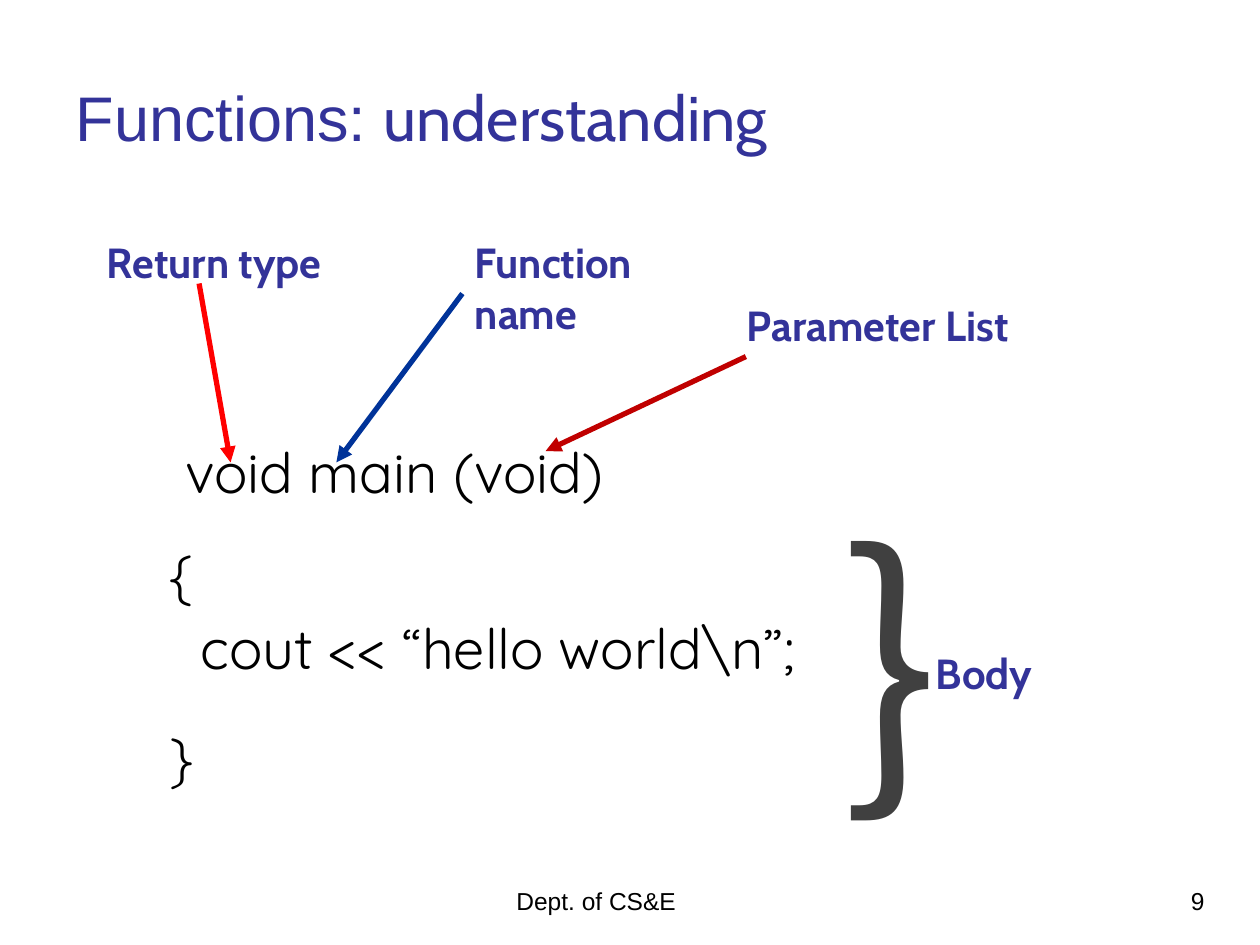
from pptx import Presentation
from pptx.dml.color import RGBColor
from pptx.enum.shapes import MSO_CONNECTOR
from pptx.enum.text import MSO_ANCHOR, PP_ALIGN
from pptx.oxml.ns import qn
from pptx.util import Inches, Pt
from lxml import etree

INDIGO = RGBColor(0x33, 0x33, 0x99)
BLACK = RGBColor(0, 0, 0)
GRAY = RGBColor(0x40, 0x40, 0x40)
RED = RGBColor(0xFF, 0, 0)
BLUE = RGBColor(0, 0x33, 0x99)
DARK_RED = RGBColor(0xC0, 0, 0)


def add_run(p, text, name, size, color, bold=False):
    r = p.add_run()
    r.text = text
    for key, value in {"name": name, "size": Pt(size), "bold": bold}.items():
        setattr(r.font, key, value)
    r.font.color.rgb = color


def add_text(box, lines, name, size, color, bold=False, align=PP_ALIGN.LEFT):
    tf = s.shapes.add_textbox(*[Inches(v) for v in box]).text_frame
    tf.word_wrap = True
    for i, (text, before) in enumerate(lines):
        p = tf.paragraphs[0] if i == 0 else tf.add_paragraph()
        p.alignment = align
        p.space_before = Pt(before)
        add_run(p, text, name, size, color, bold)


prs = Presentation()
prs.slide_width, prs.slide_height = Inches(10), Inches(7.5)
s = prs.slides.add_slide(prs.slide_layouts[5])

title = s.shapes.title
for key, value in {"left": 0.5, "top": 0.3, "width": 9, "height": 1.25}.items():
    setattr(title, key, Inches(value))
tf = title.text_frame
tf.vertical_anchor = MSO_ANCHOR.MIDDLE
p = tf.paragraphs[0]
p.alignment = PP_ALIGN.LEFT
add_run(p, "Functions: ", "Arial", 36, INDIGO)
add_run(p, "understanding", "Cabin", 36, INDIGO)

code = [
    (" void main (void)", 0),
    ("{", 20),
    ("  cout << “hello world\\n”;", 3.7),
    ("}", 24),
]
add_text((1.25, 3.42, 5.67, 2.94), code, "Quicksand", 32, BLACK)

labels = [
    ("Return type", (0.75, 1.83, 2.58, 0.5)),
    ("Function name", (3.67, 1.83, 2.25, 0.9)),
    ("Parameter List", (5.83, 2.33, 2.75, 0.5)),
    ("Body", (7.33, 5.09, 1.67, 0.5)),
]
for text, box in labels:
    add_text(box, [(text, 0)], "Cabin", 24, INDIGO, bold=True)

arrows = [
    ((1.58, 2.25, 1.83, 3.67), RED),
    ((3.67, 2.33, 2.67, 3.67), BLUE),
    ((5.92, 2.83, 4.33, 3.58), DARK_RED),
]
for ends, color in arrows:
    arrow = s.shapes.add_connector(MSO_CONNECTOR.STRAIGHT, *[Inches(v) for v in ends])
    arrow.line.color.rgb = color
    arrow.line.width = Pt(3)
    etree.SubElement(arrow.line._get_or_add_ln(), qn("a:tailEnd"), type="triangle")
    etree.SubElement(arrow._element.spPr, qn("a:effectLst"))

add_text((6.58, 3.77, 0.92, 2.87), [("}", 0)], "Noto Sans CJK JP", 166, GRAY)
add_text((4, 6.98, 2.33, 0.52), [("Dept. of CS&E", 0)], "Arial", 14, BLACK)
add_text((7.92, 6.98, 3.17, 0.52), [("9", 0)], "Arial", 14, BLACK, align=PP_ALIGN.CENTER)

prs.save("out.pptx")
